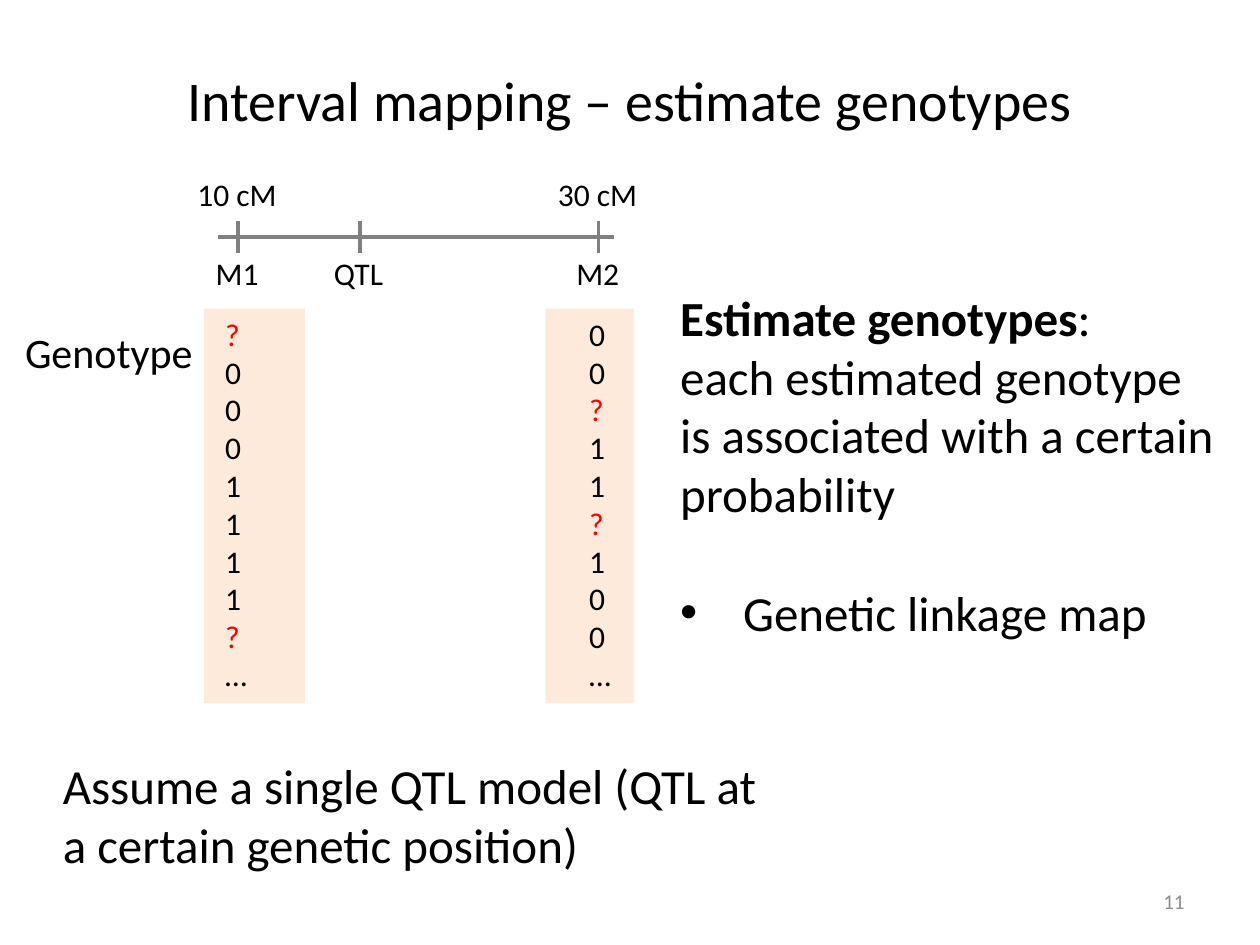
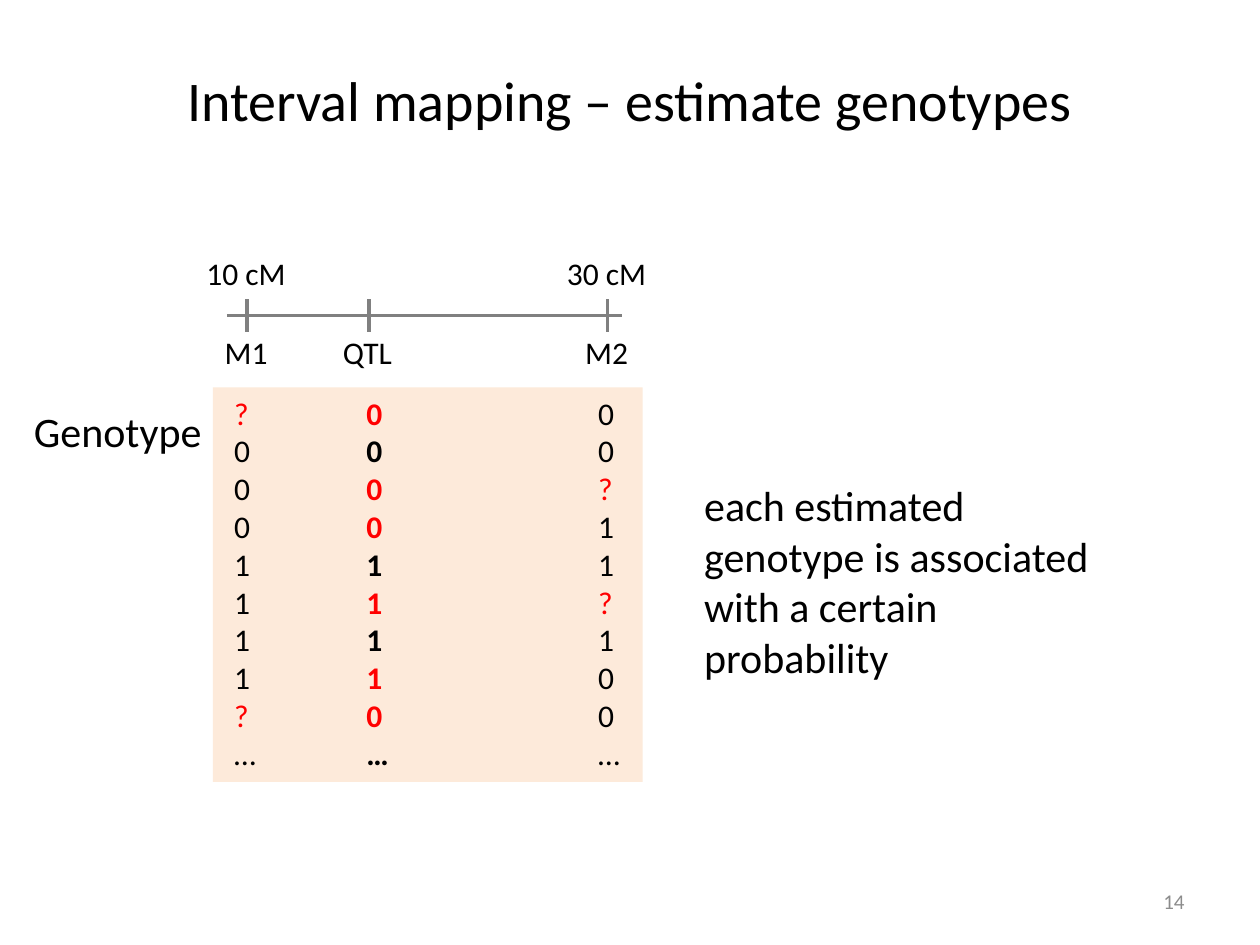
from dataclasses import dataclass
from typing import Optional

from lxml.etree import SubElement
from pptx import Presentation
from pptx.dml.color import RGBColor
from pptx.enum.shapes import MSO_CONNECTOR, MSO_SHAPE
from pptx.enum.text import MSO_ANCHOR, PP_ALIGN
from pptx.oxml.ns import qn
from pptx.slide import Slide
from pptx.text.text import TextFrame, _Paragraph
from pptx.util import Pt


@dataclass(frozen=True)
class Theme:
    """Colours, font and type sizes shared by the slides."""

    font: str = "Calibri"
    ink: str = "000000"
    estimate: str = "FF0000"
    panel: str = "FDEADA"
    paper: str = "FFFFFF"
    axis: str = "808080"
    footer: str = "8C8C8C"
    title_size: float = 32
    body_size: float = 28
    note_size: float = 24
    label_size: float = 18
    footer_size: float = 12
    axis_width: float = 2


@dataclass(frozen=True)
class Box:
    """A rectangle in points."""

    left: float
    top: float
    width: float
    height: float


@dataclass(frozen=True)
class Locus:
    """A position on the genetic map with its column of genotypes."""

    name: str
    offset: float
    label_width: float
    column_offset: float
    genotypes: str
    position: str = ""
    estimated_rows: tuple[int, ...] = ()
    bold: bool = False


@dataclass(frozen=True)
class MapLayout:
    """Distances of the map parts from the panel's top left corner."""

    panel_width: float = 245.5
    panel_height: float = 225.4
    axis_start: float = 8
    axis_end: float = 234
    axis_rise: float = 41
    tick_reach: float = 9.4
    name_rise: float = 34.6
    position_rise: float = 80
    position_width: float = 60.5
    label_height: float = 29
    column_width: float = 27.4


THEME = Theme()
MAP = MapLayout()
TITLE = "Interval mapping – estimate genotypes"
MARKER_1 = Locus("M1", 19.4, 39.6, 5, "?0001111?…", "10 cM")
QTL = Locus("QTL", 89.2, 44, 80.6, "000011110…", estimated_rows=(0, 2, 3, 5, 7, 8), bold=True)
QTL = Locus("QTL", 89.2, 44, 80.6, "000011110…", "", (0, 2, 3, 5, 7, 8), True)
MARKER_2 = Locus("M2", 225.4, 39.6, 213, "00?11?100…", "30 cM")
LOCI = (MARKER_1, QTL, MARKER_2)


def style_paragraph(
    paragraph: _Paragraph, size: float, color: str = THEME.ink, bold: bool = False
) -> None:
    """Format every run of a paragraph."""
    for run in paragraph.runs:
        run.font.name = THEME.font
        run.font.size = Pt(size)
        run.font.bold = bold
        run.font.color.rgb = RGBColor.from_string(color)


def add_text(
    slide: Slide,
    box: Box,
    text: str,
    size: float,
    color: str = THEME.ink,
    bold: bool = False,
    wrap: bool = True,
    align: Optional[PP_ALIGN] = None,
    anchor: MSO_ANCHOR = MSO_ANCHOR.TOP,
) -> TextFrame:
    """Add a text box with one style and return its frame."""
    shape = slide.shapes.add_textbox(Pt(box.left), Pt(box.top), Pt(box.width), Pt(box.height))
    text_frame = shape.text_frame
    text_frame.word_wrap = wrap
    text_frame.vertical_anchor = anchor
    text_frame.text = text
    for paragraph in text_frame.paragraphs:
        paragraph.alignment = align
        style_paragraph(paragraph, size, color, bold)
    return text_frame


def add_panel(slide: Slide, box: Box, color: str) -> None:
    """Add a plain filled rectangle."""
    shape = slide.shapes.add_shape(
        MSO_SHAPE.RECTANGLE, Pt(box.left), Pt(box.top), Pt(box.width), Pt(box.height)
    )
    shape.shadow.inherit = False
    shape.fill.solid()
    shape.fill.fore_color.rgb = RGBColor.from_string(color)
    shape.line.fill.background()


def add_line(slide: Slide, x1: float, y1: float, x2: float, y2: float) -> None:
    """Add a straight axis line without shadow."""
    connector = slide.shapes.add_connector(
        MSO_CONNECTOR.STRAIGHT, Pt(x1), Pt(y1), Pt(x2), Pt(y2)
    )
    connector.line.width = Pt(THEME.axis_width)
    connector.line.color.rgb = RGBColor.from_string(THEME.axis)
    SubElement(connector._element.spPr, qn("a:effectLst"))


def add_genotypes(slide: Slide, locus: Locus, left: float, top: float) -> None:
    """Write a column of genotypes, with missing or estimated ones in red."""
    box = Box(left + locus.column_offset, top, MAP.column_width, MAP.panel_height)
    text = "\n".join(locus.genotypes)
    text_frame = add_text(slide, box, text, THEME.label_size, bold=locus.bold, wrap=False)
    for row, paragraph in enumerate(text_frame.paragraphs):
        if paragraph.text == "?" or row in locus.estimated_rows:
            style_paragraph(paragraph, THEME.label_size, THEME.estimate, locus.bold)


def add_label(slide: Slide, text: str, center: float, top: float, width: float) -> None:
    """Add a map label centred on a tick."""
    box = Box(center - width / 2, top, width, MAP.label_height)
    add_text(slide, box, text, THEME.label_size, wrap=False)


def add_map(slide: Slide, left: float, top: float, genotyped: tuple[Locus, ...]) -> None:
    """Draw the genetic map above its genotype panel."""
    add_panel(slide, Box(left, top, MAP.panel_width, MAP.panel_height), THEME.panel)
    axis = top - MAP.axis_rise
    add_line(slide, left + MAP.axis_start, axis, left + MAP.axis_end, axis)
    for locus in LOCI:
        tick = left + locus.offset
        add_line(slide, tick, axis - MAP.tick_reach, tick, axis + MAP.tick_reach)
        add_label(slide, locus.name, tick, top - MAP.name_rise, locus.label_width)
        if locus.position:
            add_label(slide, locus.position, tick, top - MAP.position_rise, MAP.position_width)
    for locus in genotyped:
        add_genotypes(slide, locus, left, top)
    box = Box(left - 109.4, top + 6.5, 111.6, 36)
    add_text(slide, box, "Genotype", THEME.note_size, wrap=False)


def add_slide(presentation: Presentation, number: int) -> Slide:
    """Add a blank slide with the shared title and its number."""
    slide = presentation.slides.add_slide(presentation.slide_layouts[6])
    add_text(
        slide, Box(36, 21.6, 648, 70.6), TITLE, THEME.title_size,
        align=PP_ALIGN.CENTER, anchor=MSO_ANCHOR.MIDDLE,
    )
    add_text(
        slide, Box(516, 500.5, 168, 28.8), str(number), THEME.footer_size, THEME.footer,
        align=PP_ALIGN.RIGHT, anchor=MSO_ANCHOR.MIDDLE,
    )
    return slide


def make_bullet(paragraph: _Paragraph, indent: float) -> None:
    """Give a paragraph a hanging bullet."""
    properties = paragraph._p.get_or_add_pPr()
    properties.set("marL", str(Pt(indent)))
    properties.set("indent", str(-Pt(indent)))
    SubElement(properties, qn("a:buFont"), typeface="Arial")
    SubElement(properties, qn("a:buChar"), char="•")


def build_marker_slide(presentation: Presentation) -> None:
    """Show the marker genotypes with gaps to estimate."""
    slide = add_slide(presentation, 11)
    add_map(slide, 116.6, 176.4, (MARKER_1, MARKER_2))
    add_panel(slide, Box(174.2, 171.4, 137.5, 240.5), THEME.paper)
    add_text(
        slide, Box(28.8, 428.4, 424.8, 75.6),
        "Assume a single QTL model (QTL at a certain genetic position)", THEME.body_size,
    )
    text_frame = add_text(
        slide, Box(381.6, 160.6, 323.3, 211),
        "Estimate genotypes\n"
        "each estimated genotype is associated with a certain probability\n"
        "Genetic linkage map",
        THEME.body_size,
    )
    heading, _, bullet = text_frame.paragraphs
    heading.add_run().text = ":"
    style_paragraph(heading, THEME.body_size)
    heading.runs[0].font.bold = True
    bullet.space_before = Pt(34)
    make_bullet(bullet, 36)


def build_qtl_slide(presentation: Presentation) -> None:
    """Show the genotypes estimated at the QTL."""
    slide = add_slide(presentation, 14)
    add_map(slide, 121.7, 221.4, LOCI)
    add_text(
        slide, Box(395.3, 270.7, 250.6, 123.8),
        "each estimated genotype is associated with a certain probability", THEME.note_size,
    )


def main() -> None:
    """Build and save the presentation."""
    presentation = Presentation()
    presentation.slide_width = Pt(720)
    presentation.slide_height = Pt(540)
    build_marker_slide(presentation)
    build_qtl_slide(presentation)
    presentation.save("out.pptx")


if __name__ == "__main__":
    main()
